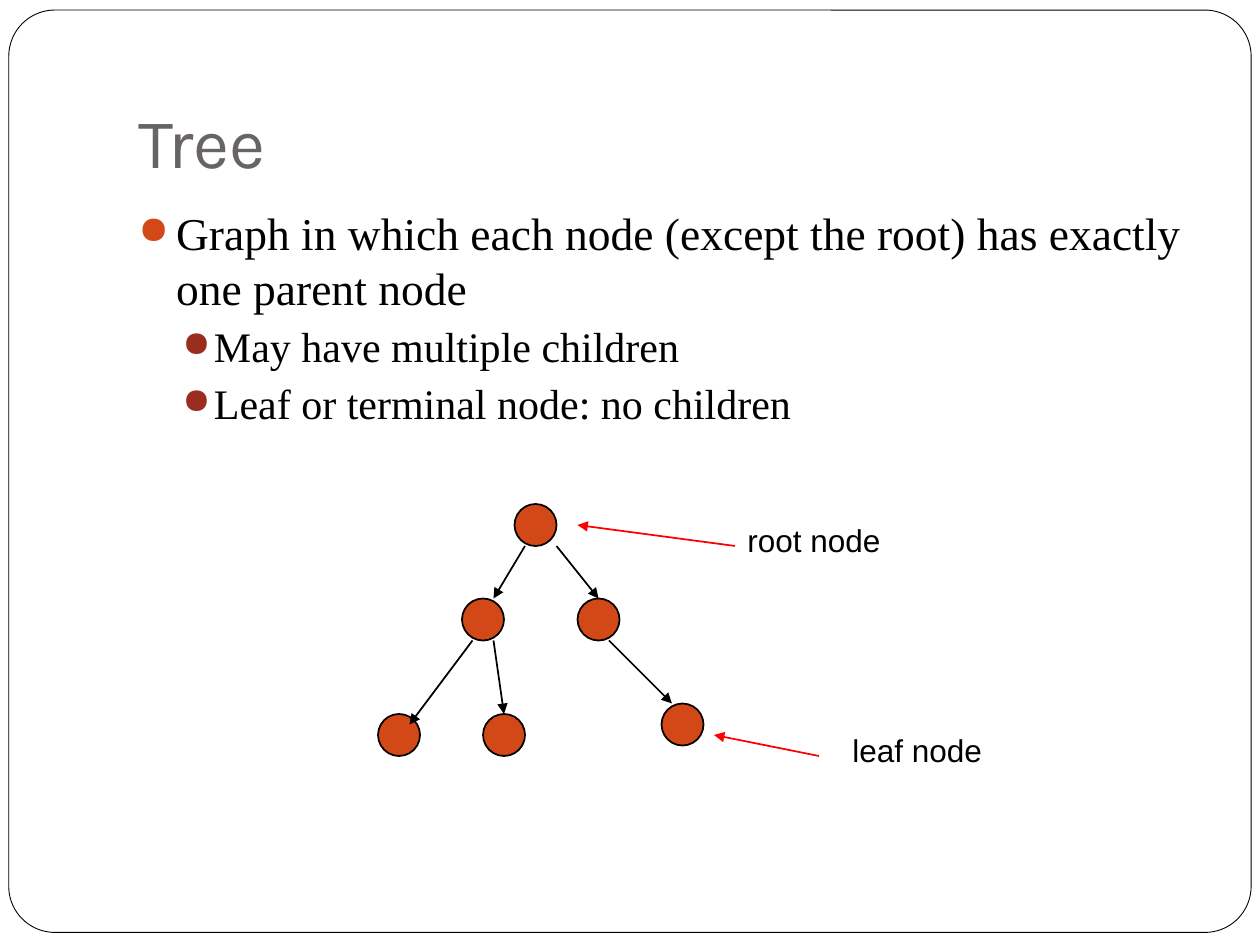
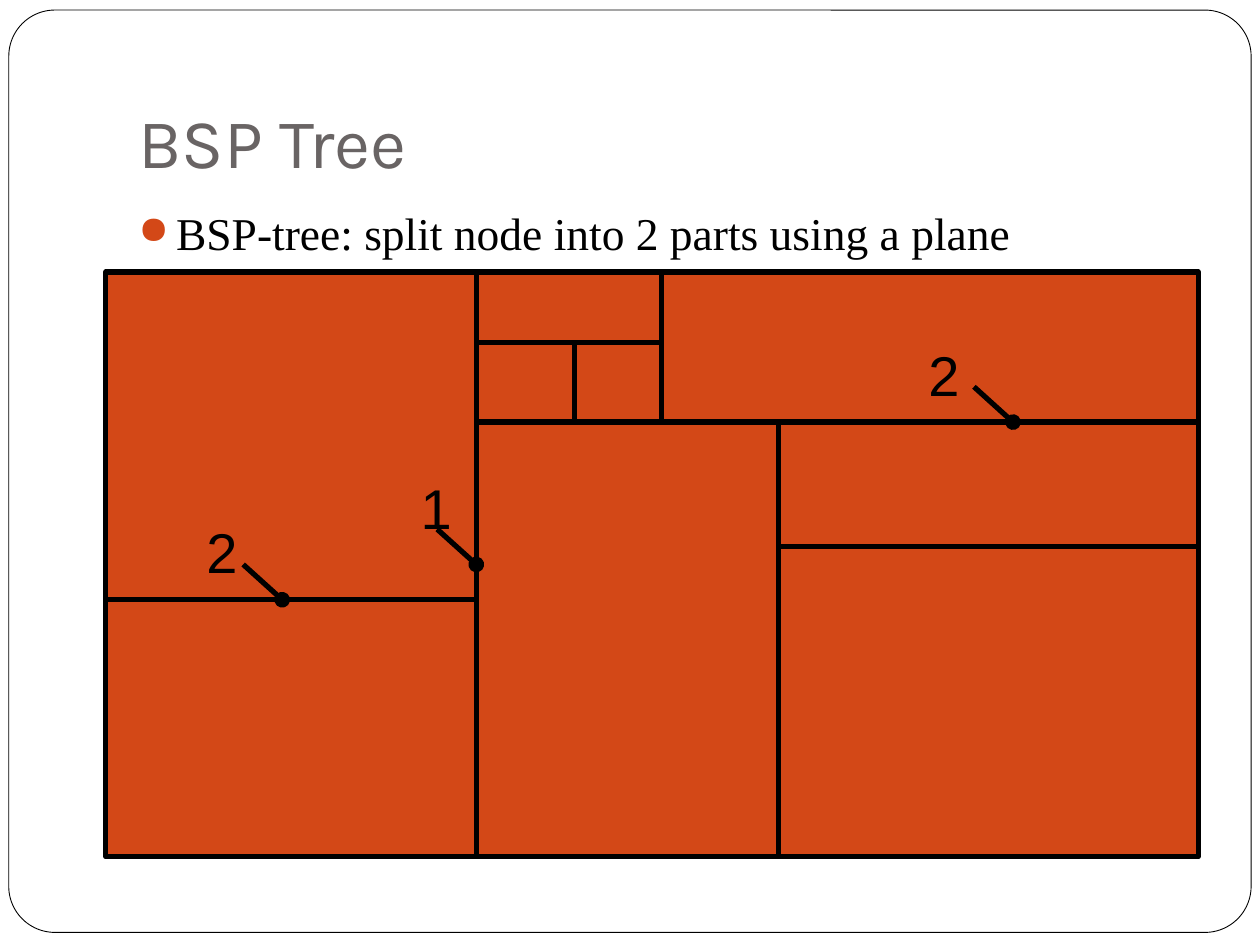
"""Build two slides that explain trees and BSP trees."""
from dataclasses import dataclass
from typing import NamedTuple, Optional

from lxml import etree
from pptx import Presentation
from pptx import util as u
from pptx.dml.color import RGBColor
from pptx.enum import shapes, text
from pptx.oxml import ns


@dataclass(frozen=True)
class Theme:
    """Colours, fonts and type sizes of the deck."""
    paper: str = "FFFFFF"
    ink: str = "000000"
    title: str = "696464"
    accent: str = "D34817"
    sub_accent: str = "9B2D1F"
    pointer: str = "FF0000"
    title_font: str = "Karla"
    body_font: str = "Times New Roman"
    label_font: str = "Arial"
    title_size: float = 40
    label_size: float = 18
    number_size: float = 32
    frame_line: float = 0.5
    thin: float = 1
    thick: float = 3


@dataclass(frozen=True)
class Grid:
    """Square cells, counted across the width of the slide."""
    columns: int

    def length(self, cells: float) -> int:
        """Return the length of a number of cells."""
        return round(WIDTH * cells / self.columns)


class Box(NamedTuple):
    """Left, top, width and height in cells."""
    x: float
    y: float
    w: float
    h: float


class Point(NamedTuple):
    """Column and row in cells."""
    x: float
    y: float


class Style(NamedTuple):
    """Font, size and colour of a run."""
    font: str
    size: float
    color: str


class Level(NamedTuple):
    """Look of one bullet level, with indents in inches."""
    style: Style
    bullet: str
    left: float
    hanging: float
    before: float


class Bullet(NamedTuple):
    """A body line and its level."""
    words: str
    level: int = 0


class Link(NamedTuple):
    """An arrow between two points."""
    start: Point
    end: Point


class Pointer(NamedTuple):
    """A label and the arrow that leads away from it."""
    words: str
    box: Box
    link: Link


class Callout(NamedTuple):
    """A number and the spot on a cut that it marks."""
    words: str
    corner: Point
    spot: Point


@dataclass(frozen=True)
class Cut:
    """A plane across one axis, with the cuts on either side of it."""
    axis: str
    at: float
    before: Optional["Cut"] = None
    after: Optional["Cut"] = None


WIDTH, HEIGHT = u.Inches(10), u.Inches(7.5)
THEME = Theme()
PAGE, TREE = Grid(100), Grid(120)
FRAME = Box(0.7, 0.8, 98.6, 73.2)
TITLE = Box(10, 3, 85, 12.5)
BODY = Box(10, 15.8, 85, 50)
TITLE_STYLE = Style(THEME.title_font, THEME.title_size, THEME.title)
LABEL_STYLE = Style(THEME.label_font, THEME.label_size, THEME.ink)
NUMBER_STYLE = Style(THEME.label_font, THEME.number_size, THEME.ink)
LEVELS = (
    Level(Style(THEME.body_font, 26, THEME.ink), THEME.accent, 0.3, 0.3, 5.8),
    Level(Style(THEME.body_font, 24, THEME.ink), THEME.sub_accent, 0.6, 0.25, 3.7),
)

NODE_SIZE = 4
NODES = (Point(49, 48), Point(63, 67), Point(46, 68),
         Point(36, 68), Point(44, 57), Point(55, 57))
EDGES = (
    Link(Point(50, 52), Point(47, 57)),
    Link(Point(45, 61), Point(39, 69)),
    Link(Point(47, 61), Point(48, 68)),
    Link(Point(53, 52), Point(57, 57)),
    Link(Point(58, 61), Point(64, 67)),
)
POINTERS = (
    Pointer("root node", Box(70, 49, 19, 6), Link(Point(70, 52), Point(55, 50))),
    Pointer("leaf node", Box(80, 69, 19, 6), Link(Point(78, 72), Point(68, 70))),
)

SPACE = Box(8.4, 21.6, 86.7, 46.4)
PLANES = Cut(
    "x", 37.8,
    before=Cut("y", 47.6),
    after=Cut(
        "y", 33.5,
        before=Cut("x", 52.5, before=Cut("y", 27.2, after=Cut("x", 45.6))),
        after=Cut("x", 61.8, after=Cut("y", 43.4)),
    ),
)
LEADER = Point(3.1, 2.8)
CALLOUTS = (
    Callout("1", Point(32.4, 37.1), Point(37.8, 44.8)),
    Callout("2", Point(72.7, 26.5), Point(80.4, 33.5)),
    Callout("2", Point(15.4, 40.6), Point(22.4, 47.6)),
)


def rgb(color: str) -> RGBColor:
    """Return a colour from its hex code."""
    return RGBColor.from_string(color)


def add_run(p, words: str, style: Style) -> None:
    """Add one styled run to a paragraph."""
    r = p.add_run()
    r.text = words
    r.font.name = style.font
    r.font.size = u.Pt(style.size)
    r.font.color.rgb = rgb(style.color)


def add_shape(s, grid: Grid, kind, box: Box, fill: str, weight: float):
    """Draw a filled and outlined preset shape."""
    sp = s.shapes.add_shape(kind, *map(grid.length, box))
    sp.shadow.inherit = False
    sp.fill.solid()
    sp.fill.fore_color.rgb = rgb(fill)
    sp.line.color.rgb = rgb(THEME.ink)
    sp.line.width = u.Pt(weight)
    return sp


def add_line(s, grid: Grid, link: Link, color: str, weight: float, tip: str = "") -> None:
    """Draw a straight line, with a tip at its end if one is named."""
    sp = s.shapes.add_connector(shapes.MSO_CONNECTOR.STRAIGHT,
                                *map(grid.length, link.start + link.end))
    sp.line.color.rgb = rgb(color)
    sp.line.width = u.Pt(weight)
    props = sp._element.spPr
    if tip:
        etree.SubElement(props.find(ns.qn("a:ln")), ns.qn("a:tailEnd"), type=tip)
    etree.SubElement(props, ns.qn("a:effectLst"))


def add_frame(s, grid: Grid, box: Box):
    """Add an empty wrapping text box and return its text frame."""
    tf = s.shapes.add_textbox(*map(grid.length, box)).text_frame
    tf.word_wrap = True
    return tf


def add_label(s, grid: Grid, box: Box, words: str, style: Style):
    """Add a text box with a single run."""
    tf = add_frame(s, grid, box)
    add_run(tf.paragraphs[0], words, style)
    return tf


def add_bullet(p, bullet: Bullet) -> None:
    """Fill a paragraph as a bulleted line."""
    level = LEVELS[bullet.level]
    p.level = bullet.level
    p.space_before = u.Pt(level.before)
    props = p._p.get_or_add_pPr()
    props.set("marL", str(u.Inches(level.left)))
    props.set("indent", str(-u.Inches(level.hanging)))
    color = etree.SubElement(props, ns.qn("a:buClr"))
    etree.SubElement(color, ns.qn("a:srgbClr"), val=level.bullet)
    etree.SubElement(props, ns.qn("a:buSzPct"), val="85000")
    etree.SubElement(props, ns.qn("a:buChar"), char="●")
    add_run(p, bullet.words, level.style)


def add_slide(prs, title: str, bullets: tuple[Bullet, ...]):
    """Add a slide with the shared frame, title and body."""
    s = prs.slides.add_slide(prs.slide_layouts[6])
    frame = add_shape(s, PAGE, shapes.MSO_SHAPE.ROUNDED_RECTANGLE, FRAME,
                      THEME.paper, THEME.frame_line)
    frame.adjustments[0] = 0.05
    tf = add_label(s, PAGE, TITLE, title, TITLE_STYLE)
    tf.vertical_anchor = text.MSO_ANCHOR.BOTTOM
    tf.margin_bottom = u.Inches(0.1)
    tf = add_frame(s, PAGE, BODY)
    for i, bullet in enumerate(bullets):
        add_bullet(tf.add_paragraph() if i else tf.paragraphs[0], bullet)
    return s


def draw_tree(s) -> None:
    """Draw the nodes, edges and pointers of the tree."""
    for node in NODES:
        add_shape(s, TREE, shapes.MSO_SHAPE.OVAL, Box(*node, NODE_SIZE, NODE_SIZE),
                  THEME.accent, THEME.thin)
    for edge in EDGES:
        add_line(s, TREE, edge, THEME.ink, THEME.thin, "triangle")
    for pointer in POINTERS:
        add_line(s, TREE, pointer.link, THEME.pointer, THEME.thin, "triangle")
        add_label(s, TREE, pointer.box, pointer.words, LABEL_STYLE)


def draw_cut(s, cut: Optional[Cut], box: Box) -> None:
    """Split a box along a cut, then split both of its parts."""
    if cut is None:
        return
    x, y, w, h = box
    if cut.axis == "x":
        link = Link(Point(cut.at, y), Point(cut.at, y + h))
        parts = Box(x, y, cut.at - x, h), Box(cut.at, y, x + w - cut.at, h)
    else:
        link = Link(Point(x, cut.at), Point(x + w, cut.at))
        parts = Box(x, y, w, cut.at - y), Box(x, cut.at, w, y + h - cut.at)
    add_line(s, PAGE, link, THEME.ink, THEME.thick)
    for child, part in zip((cut.before, cut.after), parts):
        draw_cut(s, child, part)


def draw_space(s) -> None:
    """Draw the divided space and its numbered planes."""
    add_shape(s, PAGE, shapes.MSO_SHAPE.RECTANGLE, SPACE, THEME.accent, THEME.thick)
    draw_cut(s, PLANES, SPACE)
    for words, corner, spot in CALLOUTS:
        add_label(s, PAGE, Box(*corner, 3.9, 5.7), words, NUMBER_STYLE)
        start = Point(spot.x - LEADER.x, spot.y - LEADER.y)
        add_line(s, PAGE, Link(start, spot), THEME.ink, THEME.thick, "oval")


def main() -> None:
    """Build and save the deck."""
    prs = Presentation()
    prs.slide_width, prs.slide_height = WIDTH, HEIGHT
    draw_tree(add_slide(prs, "Tree", (
        Bullet("Graph in which each node (except the root) has exactly one parent node"),
        Bullet("May have multiple children", 1),
        Bullet("Leaf or terminal node: no children", 1),
    )))
    draw_space(add_slide(prs, "BSP Tree", (
        Bullet("BSP-tree: split node into 2 parts using a plane"),
    )))
    prs.save("out.pptx")


if __name__ == "__main__":
    main()
